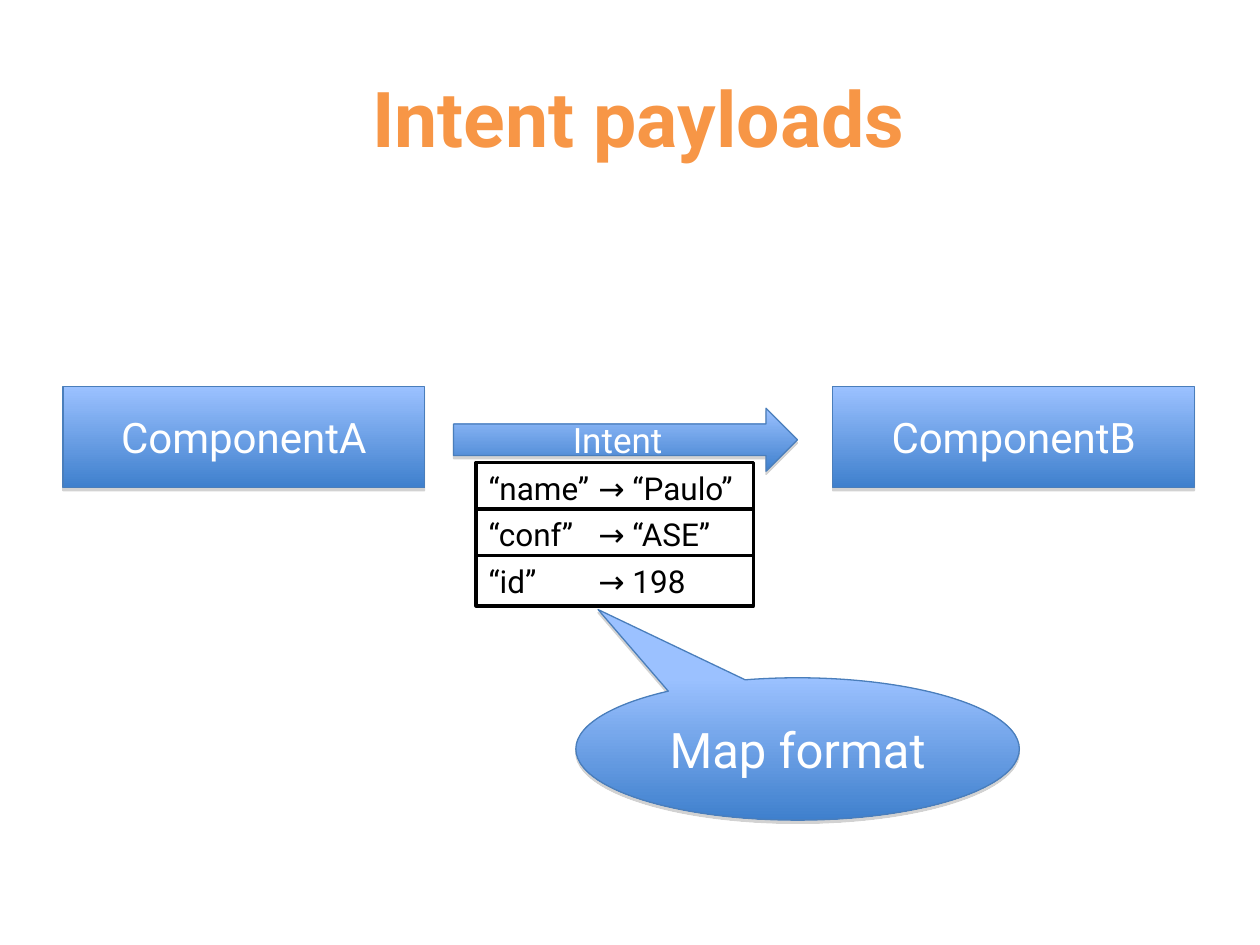
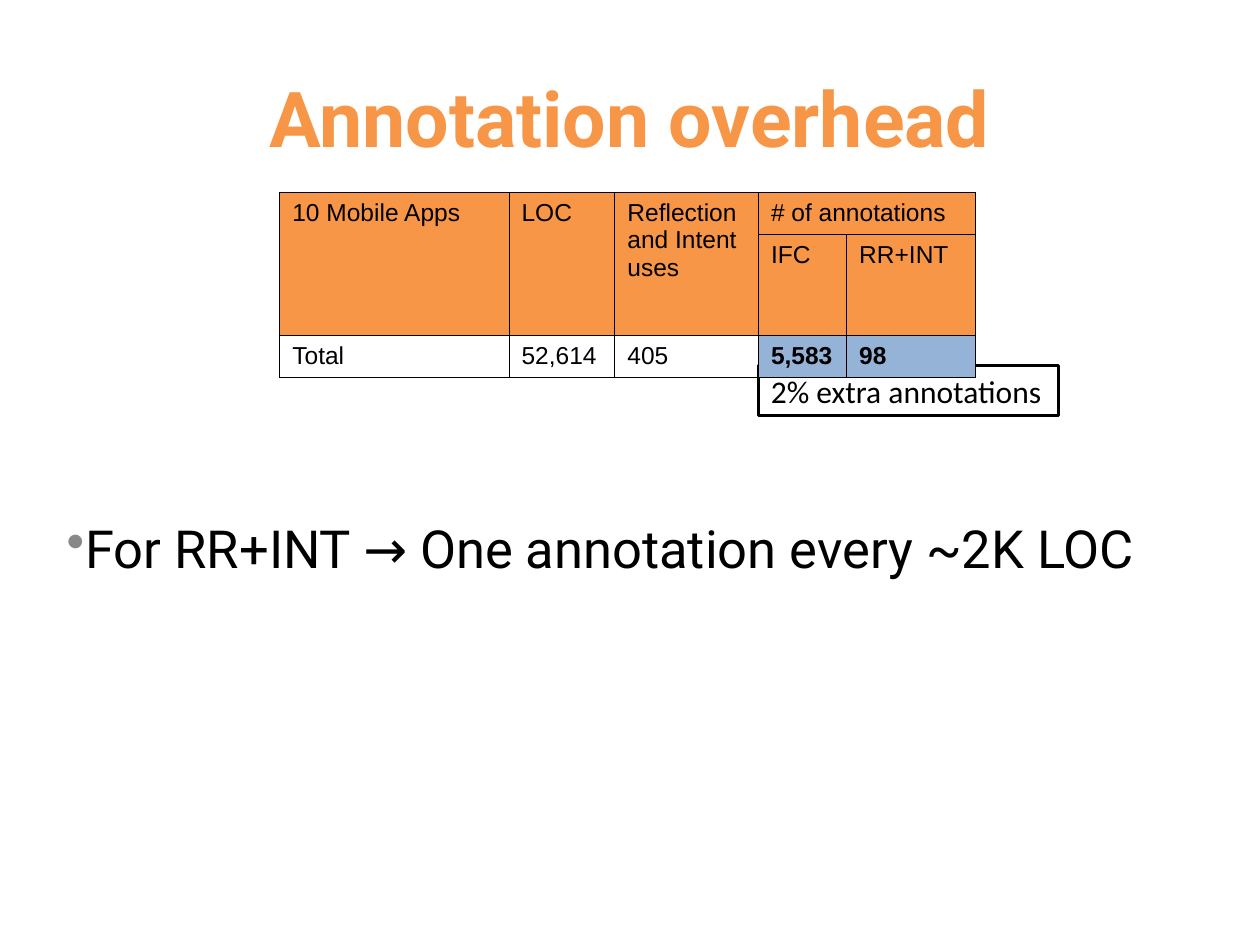
"""Build two slides on intent payloads and annotation overhead."""
from dataclasses import dataclass
from itertools import product
from typing import Optional

from lxml.etree import SubElement
from pptx import Presentation
from pptx.dml.color import RGBColor
from pptx.enum.shapes import MSO_SHAPE as Shape
from pptx.enum.text import MSO_ANCHOR as Anchor, PP_ALIGN as Align
from pptx.oxml import parse_xml
from pptx.oxml.ns import nsdecls, qn
from pptx.util import Inches, Pt

ORANGE = RGBColor(0xF7, 0x96, 0x46)
SKY = RGBColor(0x9B, 0xC1, 0xFF)
BLUE = RGBColor(0x3F, 0x80, 0xCD)
OUTLINE = RGBColor(0x4A, 0x7E, 0xBB)
PALE_BLUE = RGBColor(0x95, 0xB3, 0xD7)
WHITE = RGBColor(0xFF, 0xFF, 0xFF)
BLACK = RGBColor(0, 0, 0)

WIDTH, HEIGHT = Inches(10), Inches(7.5)
COLUMN, ROW = WIDTH // 100, HEIGHT // 75

TITLE_FORMAT = {"name": "Roboto", "size": Pt(44), "bold": True}
BODY_FORMAT = {"name": "Roboto", "size": Pt(30)}
PAYLOAD_FORMAT = {"name": "Roboto", "size": Pt(18)}
NOTE_FORMAT = {"name": "Calibri", "size": Pt(18)}
CELL_FORMAT = {"name": "Arial", "size": Pt(14)}


@dataclass(frozen=True)
class Box:
    """A place in grid columns and rows."""
    left: float
    top: float
    width: float
    height: float

    def lengths(self) -> tuple:
        """Return left, top, width and height as slide lengths."""
        return (round(self.left * COLUMN), round(self.top * ROW),
                round(self.width * COLUMN), round(self.height * ROW))


@dataclass(frozen=True)
class GlossyShape:
    """A labelled shape with the blue gradient."""
    text: str
    kind: Shape
    box: Box
    size: int
    adjustments: tuple = ()


@dataclass(frozen=True)
class HeaderCell:
    """A header cell and the last row and column it covers."""
    text: str
    row: int
    column: int
    last_row: int
    last_column: int


FLOW = (
    GlossyShape("ComponentA", Shape.RECTANGLE, Box(5, 30.7, 28.7, 8), 24),
    GlossyShape("ComponentB", Shape.RECTANGLE, Box(66.1, 30.7, 28.7, 8), 24),
    GlossyShape("Intent", Shape.RIGHT_ARROW, Box(36, 32.4, 27.3, 5), 20, (0.5, 0.5)),
)
CALLOUT = GlossyShape("Map format", Shape.OVAL_CALLOUT,
                      Box(45.7, 53.8, 35.2, 11.3), 28, (-0.45, -0.98))
PAYLOAD = (("“name”", "“Paulo”"), ("“conf”", "“ASE”"), ("“id”", "198"))
PAYLOAD_BOX = Box(37.8, 36.7, 22, 4)
PAYLOAD_STEP = 3.7
ARROW_TAB = 8.7

TABLE_BOX = Box(22.2, 15.3, 55.2, 14.6)
TABLE_COLUMNS = (18.2, 8.4, 11.4, 7, 10.2)
TABLE_ROWS = (3.3, 8, 3.3)
HEADERS = (
    HeaderCell("10 Mobile Apps", 0, 0, 1, 0),
    HeaderCell("LOC", 0, 1, 1, 1),
    HeaderCell("Reflection and Intent uses", 0, 2, 1, 2),
    HeaderCell("# of annotations", 0, 3, 0, 4),
    HeaderCell("IFC", 1, 3, 1, 3),
    HeaderCell("RR+INT", 1, 4, 1, 4),
)
TOTALS = ("Total", "52,614", "405", "5,583", "98")
FIRST_HIGHLIGHT = 3


def write(paragraph, text: str, formats: dict, color: RGBColor) -> None:
    """Add one formatted run to a paragraph."""
    run = paragraph.add_run()
    run.text = text
    for name, value in formats.items():
        setattr(run.font, name, value)
    run.font.color.rgb = color


def add_text(slide, box: Box, text: str, formats: dict, color: RGBColor,
             anchor: Anchor = Anchor.TOP, align: Optional[Align] = None):
    """Add a wrapped text box and return its paragraph."""
    frame = slide.shapes.add_textbox(*box.lengths()).text_frame
    frame.word_wrap = True
    frame.vertical_anchor = anchor
    paragraph = frame.paragraphs[0]
    paragraph.alignment = align
    write(paragraph, text, formats, color)
    return paragraph


def add_title(slide, text: str, width: float) -> None:
    """Add the shared orange title."""
    add_text(slide, Box(5, 3, width, 12.5), text, TITLE_FORMAT, ORANGE,
             Anchor.MIDDLE, Align.CENTER)


def add_glossy(slide, item: GlossyShape) -> None:
    """Draw a blue gradient shape with a soft shadow."""
    shape = slide.shapes.add_shape(item.kind, *item.box.lengths())
    for index, value in enumerate(item.adjustments):
        shape.adjustments[index] = value
    shape.fill.gradient()
    shape.fill.gradient_angle = 270
    for stop, color in zip(shape.fill.gradient_stops, (SKY, BLUE)):
        stop.color.rgb = color
    shape.line.color.rgb = OUTLINE
    shape.line.width = Pt(0.75)
    shape.shadow.inherit = False
    shape._element.spPr.find(qn("a:effectLst")).append(parse_xml(
        f'<a:outerShdw {nsdecls("a")} blurRad="0" dist="{Pt(1.8)}" dir="5400000" '
        'rotWithShape="0"><a:srgbClr val="808080"><a:alpha val="35000"/>'
        '</a:srgbClr></a:outerShdw>'))
    frame = shape.text_frame
    frame.vertical_anchor = Anchor.MIDDLE
    paragraph = frame.paragraphs[0]
    paragraph.alignment = Align.CENTER
    write(paragraph, item.text, {"name": "Roboto", "size": Pt(item.size)}, WHITE)


def add_framed(slide, box: Box, text: str, formats: dict,
               tab: Optional[float] = None) -> None:
    """Draw a white box with a black outline and left-aligned text."""
    shape = slide.shapes.add_shape(Shape.RECTANGLE, *box.lengths())
    shape.shadow.inherit = False
    shape.fill.solid()
    shape.fill.fore_color.rgb = WHITE
    shape.line.color.rgb = BLACK
    shape.line.width = Pt(2)
    shape.text_frame.vertical_anchor = Anchor.TOP
    paragraph = shape.text_frame.paragraphs[0]
    paragraph.alignment = Align.LEFT
    if tab is not None:
        tabs = SubElement(paragraph._p.get_or_add_pPr(), qn("a:tabLst"))
        SubElement(tabs, qn("a:tab"), pos=str(round(tab * COLUMN)), algn="l")
    write(paragraph, text, formats, BLACK)


def add_bullet(slide, box: Box, text: str) -> None:
    """Add a text box with one grey-bulleted line."""
    paragraph = add_text(slide, box, text, BODY_FORMAT, BLACK)
    properties = paragraph._p.get_or_add_pPr()
    properties.set("marL", str(round(3.8 * COLUMN)))
    properties.set("indent", str(round(-1.5 * COLUMN)))
    bullet_color = SubElement(properties, qn("a:buClr"))
    SubElement(bullet_color, qn("a:srgbClr"), val="888888")
    SubElement(properties, qn("a:buChar"), char="•")


def style_cell(cell, fill: Optional[RGBColor]) -> None:
    """Set a cell's fill and thin black borders."""
    if fill is None:
        cell.fill.background()
    else:
        cell.fill.solid()
        cell.fill.fore_color.rgb = fill
    properties = cell._tc.get_or_add_tcPr()
    for index, side in enumerate(("lnL", "lnR", "lnT", "lnB")):
        properties.insert(index, parse_xml(
            f'<a:{side} {nsdecls("a")} w="{Pt(0.45)}"><a:solidFill>'
            f'<a:srgbClr val="{BLACK}"/></a:solidFill></a:{side}>'))


def add_annotation_table(slide) -> None:
    """Add the table of annotation counts."""
    table = slide.shapes.add_table(len(TABLE_ROWS), len(TABLE_COLUMNS),
                                   *TABLE_BOX.lengths()).table
    table.first_row = table.horz_banding = False
    for column, width in zip(table.columns, TABLE_COLUMNS):
        column.width = round(width * COLUMN)
    for row, height in zip(table.rows, TABLE_ROWS):
        row.height = round(height * ROW)
    total_row = len(TABLE_ROWS) - 1
    for row, column in product(range(len(TABLE_ROWS)), range(len(TABLE_COLUMNS))):
        highlight = PALE_BLUE if column >= FIRST_HIGHLIGHT else None
        style_cell(table.cell(row, column), ORANGE if row < total_row else highlight)
    for header in HEADERS:
        cell = table.cell(header.row, header.column)
        if (header.row, header.column) != (header.last_row, header.last_column):
            cell.merge(table.cell(header.last_row, header.last_column))
        write(cell.text_frame.paragraphs[0], header.text, CELL_FORMAT, BLACK)
    for column, text in enumerate(TOTALS):
        formats = {**CELL_FORMAT, "bold": column >= FIRST_HIGHLIGHT}
        write(table.cell(total_row, column).text_frame.paragraphs[0], text, formats, BLACK)


def build_payload_slide(slide) -> None:
    """Show an intent with its payload passing between components."""
    add_title(slide, "Intent payloads", 91.4)
    for item in FLOW:
        add_glossy(slide, item)
    for index, (key, value) in enumerate(PAYLOAD):
        box = Box(PAYLOAD_BOX.left, PAYLOAD_BOX.top + index * PAYLOAD_STEP,
                  PAYLOAD_BOX.width, PAYLOAD_BOX.height)
        add_framed(slide, box, f"{key}\t→ {value}", PAYLOAD_FORMAT, ARROW_TAB)
    add_glossy(slide, CALLOUT)


def build_overhead_slide(slide) -> None:
    """Show the annotation counts and what they amount to."""
    add_title(slide, "Annotation overhead", 90)
    add_framed(slide, Box(60.2, 29, 23.8, 4), "2% extra annotations", NOTE_FORMAT)
    add_annotation_table(slide)
    add_bullet(slide, Box(2, 40.5, 96.8, 22.9), "For RR+INT → One annotation every ~2K LOC")


def main() -> None:
    """Build and save the presentation."""
    presentation = Presentation()
    presentation.slide_width, presentation.slide_height = WIDTH, HEIGHT
    blank = presentation.slide_layouts[6]
    for build in (build_payload_slide, build_overhead_slide):
        build(presentation.slides.add_slide(blank))
    presentation.save("out.pptx")


if __name__ == "__main__":
    main()
